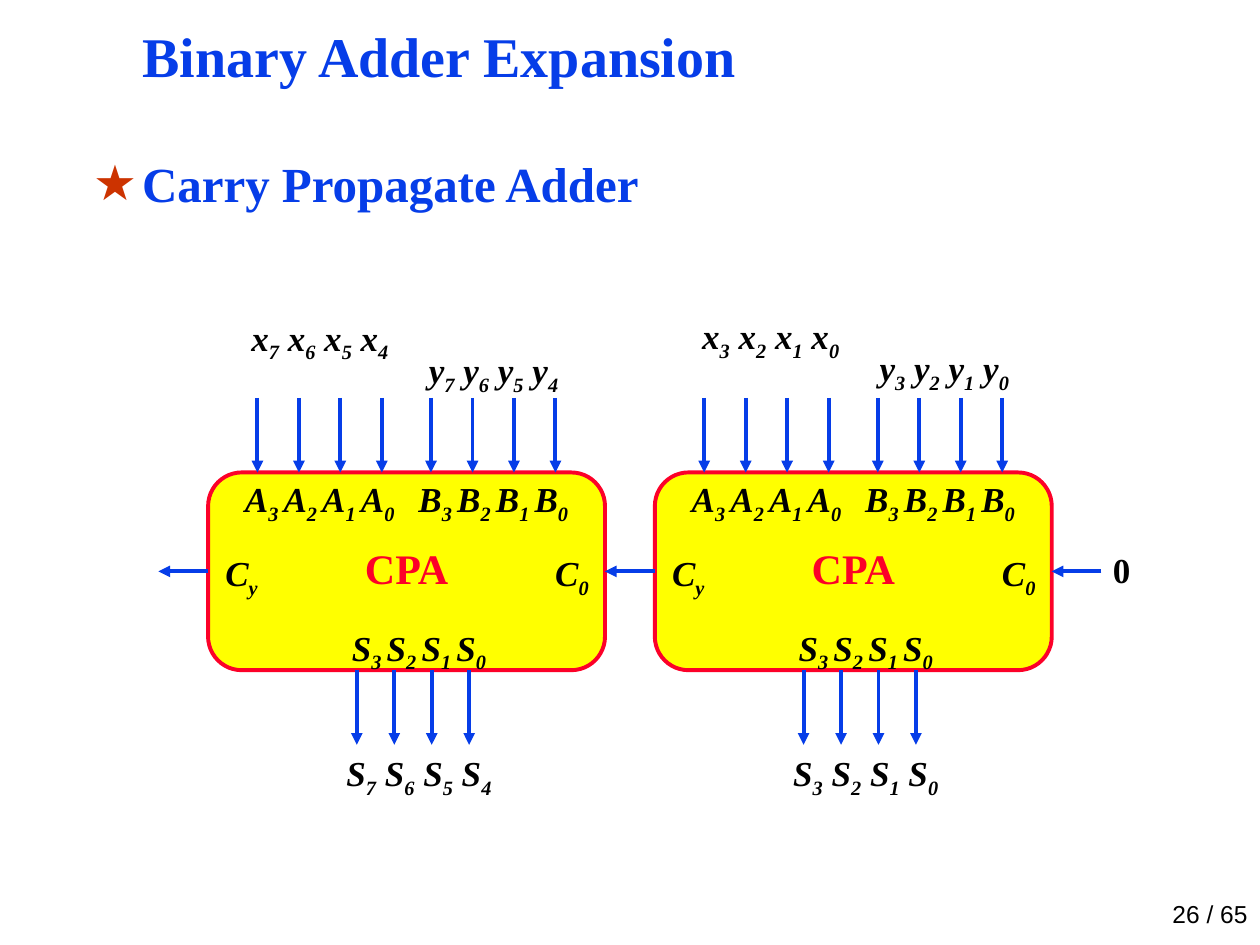
"""Build the slide on expanding a binary adder from two CPA blocks."""
from lxml import etree
from pptx import Presentation
from pptx.dml.color import RGBColor
from pptx.enum.shapes import MSO_CONNECTOR, MSO_SHAPE
from pptx.enum.text import MSO_ANCHOR, MSO_AUTO_SIZE, PP_ALIGN
from pptx.oxml.ns import qn
from pptx.util import Pt

STRAIGHT = MSO_CONNECTOR.STRAIGHT
ROUNDED = MSO_SHAPE.ROUNDED_RECTANGLE
TOP, MIDDLE, BOTTOM = MSO_ANCHOR.TOP, MSO_ANCHOR.MIDDLE, MSO_ANCHOR.BOTTOM
LEFT, CENTER, RIGHT = PP_ALIGN.LEFT, PP_ALIGN.CENTER, PP_ALIGN.RIGHT
NO_FIT = MSO_AUTO_SIZE.NONE
LEFT_SIDE, RIGHT_SIDE = 1, 3

COLORS = {"blue": "063DE8", "red": "FC0128", "yellow": "FFFF00",
          "black": "000000", "star": "CC3300"}
SERIF = "Times New Roman"
BLOCK_TOP, BLOCK_WIDTH, BLOCK_HEIGHT = 270, 226.8, 113
BLOCK_BOTTOM = BLOCK_TOP + BLOCK_HEIGHT
CARRY_Y = BLOCK_TOP + BLOCK_HEIGHT / 2
ARROW_LENGTH, CARRY_LENGTH = 42.6, 28.4
LABEL_WIDTH, LABEL_HEIGHT, CARRY_WIDTH = 99.2, 30, 28.4
INPUT_PITCH, OUTPUT_PITCH = 23.7, 21.4
A_LEFT, B_LEFT, S_LEFT = 14.2, 113.4, 70.9
A_ARROWS, B_ARROWS, S_ARROWS = 28.2, 127.4, 85
TIGHT, WIDE = " |", "| "


def color(name):
    return RGBColor.from_string(COLORS[name])


def indexed(letter, digits, separator):
    return separator.join(f"{letter}|{digit}" for digit in digits)


def write_text(frame, text, size=20, font=SERIF, ink="black", bold=True,
               italic=False, align=CENTER, anchor=TOP, spacing=1.0,
               insets=(0, 0)):
    """Fill a frame with text whose odd parts between bars are subscripts."""
    frame.auto_size = NO_FIT
    frame.word_wrap = True
    frame.vertical_anchor = anchor
    frame.margin_left = frame.margin_right = Pt(insets[0])
    frame.margin_top = frame.margin_bottom = Pt(insets[1])
    paragraph = frame.paragraphs[0]
    paragraph.alignment = align
    paragraph.line_spacing = spacing
    paragraph.space_before = Pt(0)
    for position, part in enumerate(text.split("|")):
        run = paragraph.add_run()
        run.text = part
        run.font.size = Pt(size)
        run.font.name = font
        run.font.bold = bold
        run.font.italic = italic
        run.font.color.rgb = color(ink)
        if position % 2:
            run.font._element.set("baseline", "-25000")
    return paragraph


def add_label(shapes, text, box, **text_format):
    label = shapes.add_textbox(*map(Pt, box))
    write_text(label.text_frame, text, **text_format)


def fill_placeholder(placeholder, text, box, **text_format):
    placeholder.left, placeholder.top, placeholder.width, placeholder.height = map(Pt, box)
    return write_text(placeholder.text_frame, text, ink="blue", align=LEFT,
                      insets=(5, 2.2), **text_format)


def add_star_bullet(paragraph):
    properties = paragraph._p.get_or_add_pPr()
    properties.set("marL", str(Pt(28)))
    properties.set("indent", str(Pt(-28)))
    tint = etree.SubElement(properties, qn("a:buClr"))
    etree.SubElement(tint, qn("a:srgbClr"), val=COLORS["star"])
    etree.SubElement(properties, qn("a:buChar"), char="★")


def add_arrow(shapes, start, end):
    arrow = shapes.add_connector(STRAIGHT, *map(Pt, (*start, *end)))
    arrow.line.color.rgb = color("blue")
    arrow.line.width = Pt(2.25)
    etree.SubElement(arrow.line._get_or_add_ln(), qn("a:tailEnd"), type="triangle")
    etree.SubElement(arrow._element.spPr, qn("a:effectLst"))
    return arrow


def add_arrow_row(shapes, left, top, pitch):
    for bit in range(4):
        x = left + bit * pitch
        add_arrow(shapes, (x, top), (x, top + ARROW_LENGTH))


def add_adder(shapes, left, digits, operand_left, operand_top):
    """Draw one CPA block with its ports, bit arrows and outer labels."""
    adder = shapes.add_shape(ROUNDED, Pt(left), Pt(BLOCK_TOP),
                             Pt(BLOCK_WIDTH), Pt(BLOCK_HEIGHT))
    adder.adjustments[0] = 0.17
    adder.shadow.inherit = False
    adder.fill.solid()
    adder.fill.fore_color.rgb = color("yellow")
    adder.line.color.rgb = color("red")
    adder.line.width = Pt(2.25)
    write_text(adder.text_frame, "CPA", size=24, ink="red", anchor=MIDDLE, spacing=0.9)

    for letter, offset, top in (("A", A_LEFT, BLOCK_TOP), ("B", B_LEFT, BLOCK_TOP),
                                ("S", S_LEFT, 355)):
        add_label(shapes, indexed(letter, "3210", TIGHT),
                  (left + offset, top, LABEL_WIDTH, LABEL_HEIGHT),
                  italic=True, spacing=1.1)
    for port, offset, align in (("C|y", 0, RIGHT),
                                ("C|0", BLOCK_WIDTH - CARRY_WIDTH, LEFT)):
        add_label(shapes, port, (left + offset, 312.5, CARRY_WIDTH, LABEL_HEIGHT),
                  italic=True, align=align, spacing=1.1)
    for letter, x, top in (("x", operand_left, operand_top),
                           ("y", operand_left + LABEL_WIDTH, operand_top + 18.7),
                           ("S", left + S_LEFT, 425.5)):
        add_label(shapes, indexed(letter, digits, WIDE),
                  (x, top, LABEL_WIDTH, 31.7), italic=True, spacing=1.15)

    for offset in (A_ARROWS, B_ARROWS):
        add_arrow_row(shapes, left + offset, BLOCK_TOP - ARROW_LENGTH, INPUT_PITCH)
    add_arrow_row(shapes, left + S_ARROWS, BLOCK_BOTTOM, OUTPUT_PITCH)
    return adder


def add_carry_chain(shapes, high_adder, low_adder, high_left, low_left):
    low_right = low_left + BLOCK_WIDTH
    carry_in = add_arrow(shapes, (low_right + CARRY_LENGTH, CARRY_Y), (low_right, CARRY_Y))
    carry_in.end_connect(low_adder, RIGHT_SIDE)
    carry = add_arrow(shapes, (low_left, CARRY_Y), (high_left + BLOCK_WIDTH, CARRY_Y))
    carry.begin_connect(low_adder, LEFT_SIDE)
    carry.end_connect(high_adder, RIGHT_SIDE)
    carry_out = add_arrow(shapes, (high_left, CARRY_Y), (high_left - CARRY_LENGTH, CARRY_Y))
    carry_out.begin_connect(high_adder, LEFT_SIDE)
    add_label(shapes, "0", (low_right + CARRY_LENGTH, 309.6, 23, 27.4), spacing=1.15)


def main():
    deck = Presentation()
    deck.slide_width, deck.slide_height = Pt(720), Pt(540)
    slide = deck.slides.add_slide(deck.slide_layouts[1])
    shapes = slide.shapes
    fill_placeholder(shapes.title, "Binary Adder Expansion",
                     (76.3, 15.1, 623.5, 37.4), size=32, spacing=0.87)
    topic = fill_placeholder(slide.placeholders[1], "Carry Propagate Adder",
                             (48.2, 85.7, 652.3, 37.4), size=28)
    add_star_bullet(topic)

    high_left, low_left = 118.9, 374.2
    low_adder = add_adder(shapes, low_left, "3210", 390.8, 175.5)
    high_adder = add_adder(shapes, high_left, "7654", 133.2, 176.5)
    add_carry_chain(shapes, high_adder, low_adder, high_left, low_left)
    add_label(shapes, "26 / 65", (625.7, 511.2, 94.3, 23), size=14, font="Arial",
              bold=False, align=RIGHT, anchor=BOTTOM, insets=(7.2, 3.6))
    deck.save("out.pptx")


if __name__ == "__main__":
    main()
